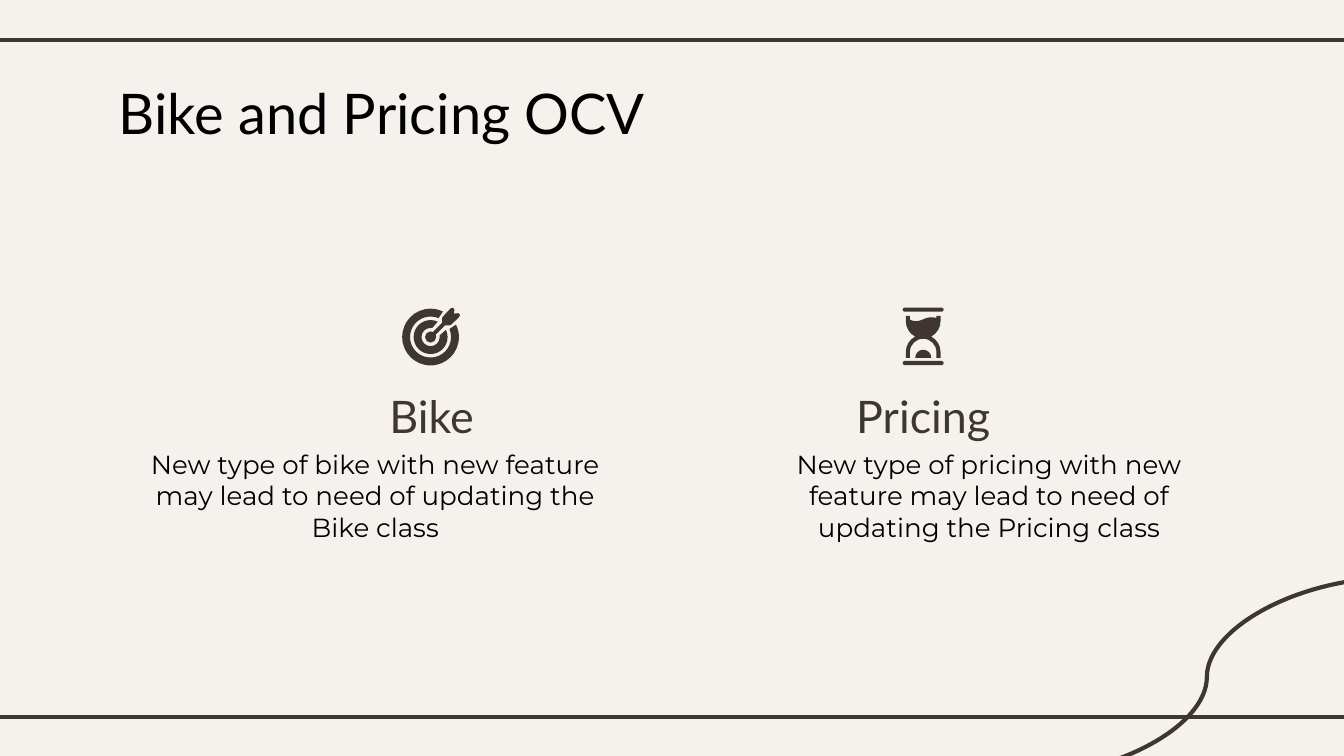
from math import cos, radians, sin, tan

from lxml import etree
from pptx import Presentation
from pptx.dml.color import RGBColor
from pptx.enum import shapes, text
from pptx.oxml import ns
from pptx.util import Pt

# Content
TITLE = "Bike and Pricing OCV"
TOPICS = [
    dict(name="Pricing", center=494.6, note_left=396.7, note_width=266.4,
         note="New type of pricing with new feature may lead to need of updating the Pricing class"),
    dict(name="Bike", center=231.2, note_left=72.9, note_width=256.3,
         note="New type of bike with new feature may lead to need of updating the Bike class"),
]

# Style, lengths in points
W, H = 720, 405
PAPER, INK, BLACK = "F5F2EE", "3F3533", "000000"
LEFT, CENTER = text.PP_ALIGN.LEFT, text.PP_ALIGN.CENTER
TITLE_FONT = dict(name="Lato", size=Pt(30), bold=False)
HEAD_FONT = dict(name="Lato", size=Pt(24), bold=False)
NOTE_FONT = dict(name="Montserrat", size=Pt(14), bold=False)
HEAD_TOP, HEAD_W, HEAD_H = 200.9, 195.8, 39.6
NOTE_TOP, NOTE_H = 233, 71.3
STRAIGHT, CURVE = shapes.MSO_CONNECTOR.STRAIGHT, shapes.MSO_CONNECTOR.CURVE


def color(hex_text):
    return RGBColor.from_string(hex_text)


def fill_placeholder(sp, words, box, font, ink, align):
    sp.left, sp.top, sp.width, sp.height = map(Pt, box)
    tf = sp.text_frame
    frame = dict(word_wrap=True, auto_size=text.MSO_AUTO_SIZE.NONE,
                 vertical_anchor=text.MSO_ANCHOR.TOP)
    frame.update({f"margin_{side}": Pt(7.2) for side in ("left", "right", "top", "bottom")})
    for key, value in frame.items():
        setattr(tf, key, value)
    p = tf.paragraphs[0]
    p.alignment, p.space_before = align, Pt(0)
    pPr = p._p.get_or_add_pPr()
    pPr.set("marL", "0")
    pPr.set("indent", "0")
    etree.SubElement(pPr, ns.qn("a:buNone"))
    r = p.add_run()
    r.text = words
    for key, value in font.items():
        setattr(r.font, key, value)
    r.font.color.rgb = color(ink)


def add_line(s, kind, *ends):
    line = s.shapes.add_connector(kind, *map(Pt, ends))
    line.line.color.rgb = color(INK)
    line.line.width = Pt(2.25)
    etree.SubElement(line._element.spPr, ns.qn("a:effectLst"))
    s.shapes._spTree.insert(2, line._element)  # behind the text


def arc(cx, cy, radius, start, end):
    """Start point, then one Bezier curve (three points) per quadrant crossed."""
    inner = [a for a in range(-360, 721, 90) if min(start, end) < a < max(start, end)]
    stops = [start] + sorted(inner, reverse=end < start) + [end]

    def at(angle, lean=0):
        a = radians(angle)
        return (cx + radius * (cos(a) - lean * sin(a)),
                cy - radius * (sin(a) + lean * cos(a)))

    items = [at(start)]
    for a, b in zip(stops, stops[1:]):
        lean = 4 / 3 * tan(radians(b - a) / 4)
        items.append((at(a, lean), at(b, -lean), at(b)))
    return items


def is_curve(item):
    return len(item) == 3


def add_outline(group, items):
    """Items are points, or curves made of three points."""
    points = []
    for item in items:
        points += item if is_curve(item) else [item]
    points = [(Pt(x), Pt(y)) for x, y in points]
    builder = group.shapes.build_freeform(*points[0], scale=1.0)
    builder.add_line_segments(points[1:], close=True)
    sp = builder.convert_to_shape()
    segments = iter(sp._element.findall(".//" + ns.qn("a:lnTo")))
    for item in items[1:]:
        segment = next(segments)
        if is_curve(item):
            segment.tag = ns.qn("a:cubicBezTo")
            for _ in range(2):
                extra = next(segments)
                segment.append(extra[0])
                extra.getparent().remove(extra)
    sp.shadow.inherit = False
    sp.fill.solid()
    sp.fill.fore_color.rgb = color(INK)
    sp.line.fill.background()


def draw_target(group, cx, cy):
    # Dart: one half of the shaft and feathers, mirrored on the diagonal
    half = [(7.6, 6.2), (10.2, 6.2), (11.2, 6.8), (15.4, 10.8), (15.7, 12), (14.8, 12.8)]
    dart = half + [(12.5, 12.5)] + [(y, x) for x, y in reversed(half)]
    add_outline(group, arc(cx, cy, 3, 65, 385) + [(cx + x, cy - y) for x, y in dart])
    # Open rings: outer radius and angles, then inner radius and angles
    for outer, a, b, inner, c, d in [(9.1, 65, 385, 4.9, 80, 370),
                                     (15.2, 64, 386, 11, 67, 383)]:
        add_outline(group, arc(cx, cy, outer, a, b) + arc(cx, cy, inner, d, c))


def draw_hourglass(group, cx):
    rim, floor, upper, lower, outer, inner = 169.2, 191.7, 172.1, 188.6, 9.3, 7.1
    sand = [(inner, rim), (inner, 170.4),
            ((5, 169.6), (2.3, 169.9), (-0.7, 171.4)),
            ((-2.8, 172.3), (-5, 172.3), (-inner, 171.3)),
            (-inner, rim), (-outer, rim)]
    glass = ([(x, y) if not is_curve((x, y, *rest)) else (x, y, *rest) for x, y, *rest in sand]
             + arc(0, upper, outer, 180, 242) + arc(0, lower, outer, 118, 180)
             + [(-outer, floor), (-inner, floor)] + arc(0, lower, inner, 180, 0)
             + [(inner, floor), (outer, floor)] + arc(0, lower, outer, 0, 62)
             + arc(0, upper, outer, 298, 360) + [(outer, rim)])
    caps = [arc(-9.9, y, 1.1, 90, 270) + arc(9.9, y, 1.1, -90, 90) for y in (194.5, 165.9)]

    def shift(item):
        if is_curve(item):
            return tuple(map(shift, item))
        return cx + item[0], item[1]

    for outline in (arc(0, floor, 4.3, 0, 180), glass, *caps):
        add_outline(group, [shift(item) for item in outline])


def main():
    prs = Presentation()
    prs.slide_width, prs.slide_height = Pt(W), Pt(H)
    s = prs.slides.add_slide(prs.slide_layouts.get_by_name("Comparison"))
    s.background.fill.solid()
    s.background.fill.fore_color.rgb = color(PAPER)
    title, *bodies = s.placeholders

    # Corner curve and frame lines
    add_line(s, CURVE, 746.8, 309.5, 546.3, 416)
    for y in (384, 21.5):
        add_line(s, STRAIGHT, -6, y, W + 6, y)

    # Title and topic columns
    fill_placeholder(title, TITLE, (56.3, 35, 498, 45.4), TITLE_FONT, BLACK, LEFT)
    for topic, head, note in zip(TOPICS, bodies[::2], bodies[1::2]):
        fill_placeholder(head, topic["name"],
                         (topic["center"] - HEAD_W / 2, HEAD_TOP, HEAD_W, HEAD_H),
                         HEAD_FONT, INK, CENTER)
        fill_placeholder(note, topic["note"],
                         (topic["note_left"], NOTE_TOP, topic["note_width"], NOTE_H),
                         NOTE_FONT, BLACK, CENTER)

    # Icons
    draw_target(s.shapes.add_group_shape(), 230.7, 180.6)
    draw_hourglass(s.shapes.add_group_shape(), TOPICS[0]["center"])

    prs.save("out.pptx")


if __name__ == "__main__":
    main()
